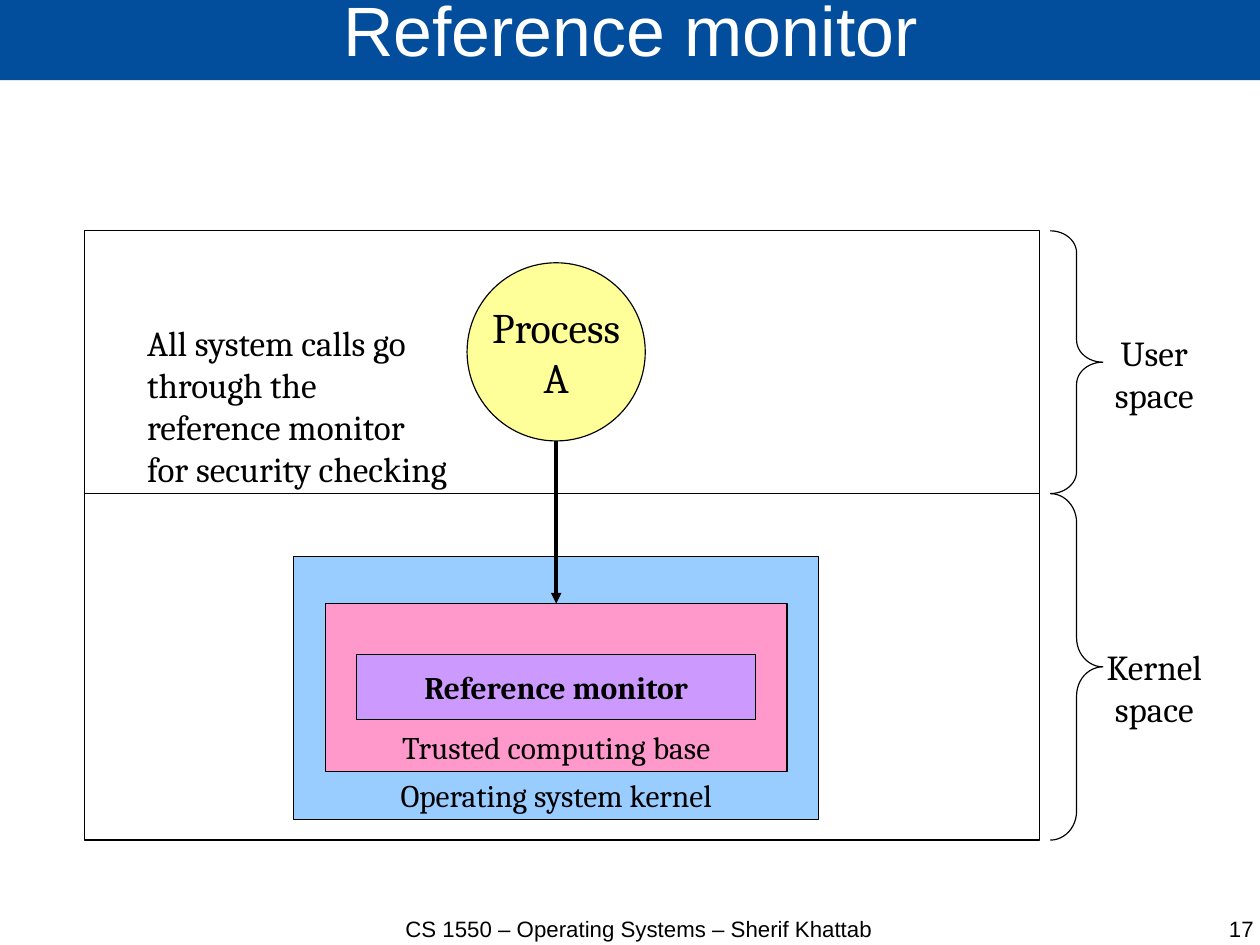
from pptx import Presentation
from pptx.util import Cm, Pt
from pptx.dml.color import RGBColor as Rgb
from pptx.enum.shapes import MSO_SHAPE as Form, MSO_CONNECTOR as Link
from pptx.enum.text import PP_ALIGN as Align, MSO_ANCHOR as Anchor
from pptx.oxml.ns import qn
from lxml.etree import SubElement as Sub

INK = {
    "blue": "024E9D", "white": "FFFFFF", "black": "000000",
    "sky": "99CCFF", "pink": "FF99CC", "mauve": "CC99FF", "lemon": "FFFF99",
}


def tone(name):
    return Rgb.from_string(INK[name])


def write(shape, text, size, font="Cambria", color="black", bold=False,
          align=Align.CENTER, anchor=Anchor.TOP, wrap=False, inset=None):
    frame = shape.text_frame
    frame.text = text
    frame.word_wrap = wrap
    frame.vertical_anchor = anchor
    if inset is not None:
        frame.margin_left = frame.margin_right = Cm(inset)
        frame.margin_top = frame.margin_bottom = Cm(inset)
    for para in frame.paragraphs:
        para.alignment = align
        for run in para.runs:
            run.font.size = Pt(size)
            run.font.name = font
            run.font.bold = bold
            run.font.color.rgb = tone(color)


def draw(slide, form, box, fill=None, line="black"):
    shape = slide.shapes.add_shape(form, *map(Cm, box))
    shape.shadow.inherit = False
    if fill:
        shape.fill.solid()
        shape.fill.fore_color.rgb = tone(fill)
    else:
        shape.fill.background()
    if line:
        shape.line.color.rgb = tone(line)
        shape.line.width = Pt(0.75)
    else:
        shape.line.fill.background()
    return shape


def label(slide, box, text, size, **style):
    write(slide.shapes.add_textbox(*map(Cm, box)), text, size, **style)


def title(slide, box):
    bar = draw(slide, Form.RECTANGLE, box, "blue", None)
    write(bar, "Reference monitor", 44, "Arial", "white",
          anchor=Anchor.MIDDLE, wrap=True, inset=0)
    bar.text_frame.paragraphs[0].line_spacing = 0.69


def space(slide, box, text, bend, drop):
    x, y, w, h = box
    draw(slide, Form.RECTANGLE, box, "white")
    brace = draw(slide, Form.RIGHT_BRACE, (x + w + 0.23, y, 1.17, h))
    brace.adjustments[0] = bend
    label(slide, (x + w + 1.22, y + drop, 2.64, 2.13), text, 22.1)


def kernel(slide, box):
    x, y, w, h = box
    layers = [
        (0, 0, h, "sky", "Operating system kernel", Anchor.BOTTOM),
        (0.7, 1.04, 3.73, "pink", "Trusted computing base", Anchor.BOTTOM),
        (1.4, 2.18, 1.45, "mauve", "Reference monitor", Anchor.MIDDLE),
    ]
    made = []
    for pad, drop, high, fill, text, anchor in layers:
        part = draw(slide, Form.RECTANGLE,
                    (x + pad, y + drop, w - 2 * pad, high), fill)
        write(part, text, 19.8, bold=fill == "mauve", anchor=anchor)
        made.append(part)
    return made[1]


def process(slide, box, goal):
    x, y, w, h = box
    disc = draw(slide, Form.OVAL, box, "lemon")
    write(disc, "Process\vA", 26.5, anchor=Anchor.MIDDLE)
    mid = Cm(x + w / 2)
    call = slide.shapes.add_connector(Link.STRAIGHT, mid, Cm(y + h), mid, goal.top)
    call.end_connect(goal, 0)
    call.line.color.rgb = tone("black")
    call.line.width = Pt(2.25)
    Sub(call.line._get_or_add_ln(), qn("a:tailEnd"), type="triangle")
    Sub(call._element.spPr, qn("a:effectLst"))


def footer(slide, box):
    x, y, w, h = box
    style = dict(font="Arial", wrap=True, inset=0)
    label(slide, (x, y, 12.8, h), "CS 1550 – Operating Systems – Sherif Khattab",
          14, **style)
    label(slide, (x + w - 6.43, y, 6.43, h), "17", 14, align=Align.RIGHT, **style)


def main():
    deck = Presentation()
    deck.slide_width, deck.slide_height = Cm(28), Cm(21)
    slide = deck.slides.add_slide(deck.slide_layouts[6])
    title(slide, (0, -0.05, 28.04, 1.83))
    footer(slide, (7.8, 20.35, 20.06, 1.4))
    space(slide, (1.88, 5.13, 21.23, 5.84), "User\vspace", 0.42, 2.11)
    space(slide, (1.88, 10.97, 21.23, 7.7), "Kernel\vspace", 0.55, 3.25)
    base = kernel(slide, (6.53, 12.37, 11.66, 5.84))
    process(slide, (10.38, 5.84, 3.96, 3.96), base)
    label(slide, (3.02, 7.01, 7.24, 4.04),
          "All system calls go through the reference monitor for security checking",
          22.1, align=Align.LEFT, wrap=True)
    deck.save("out.pptx")


if __name__ == "__main__":
    main()
